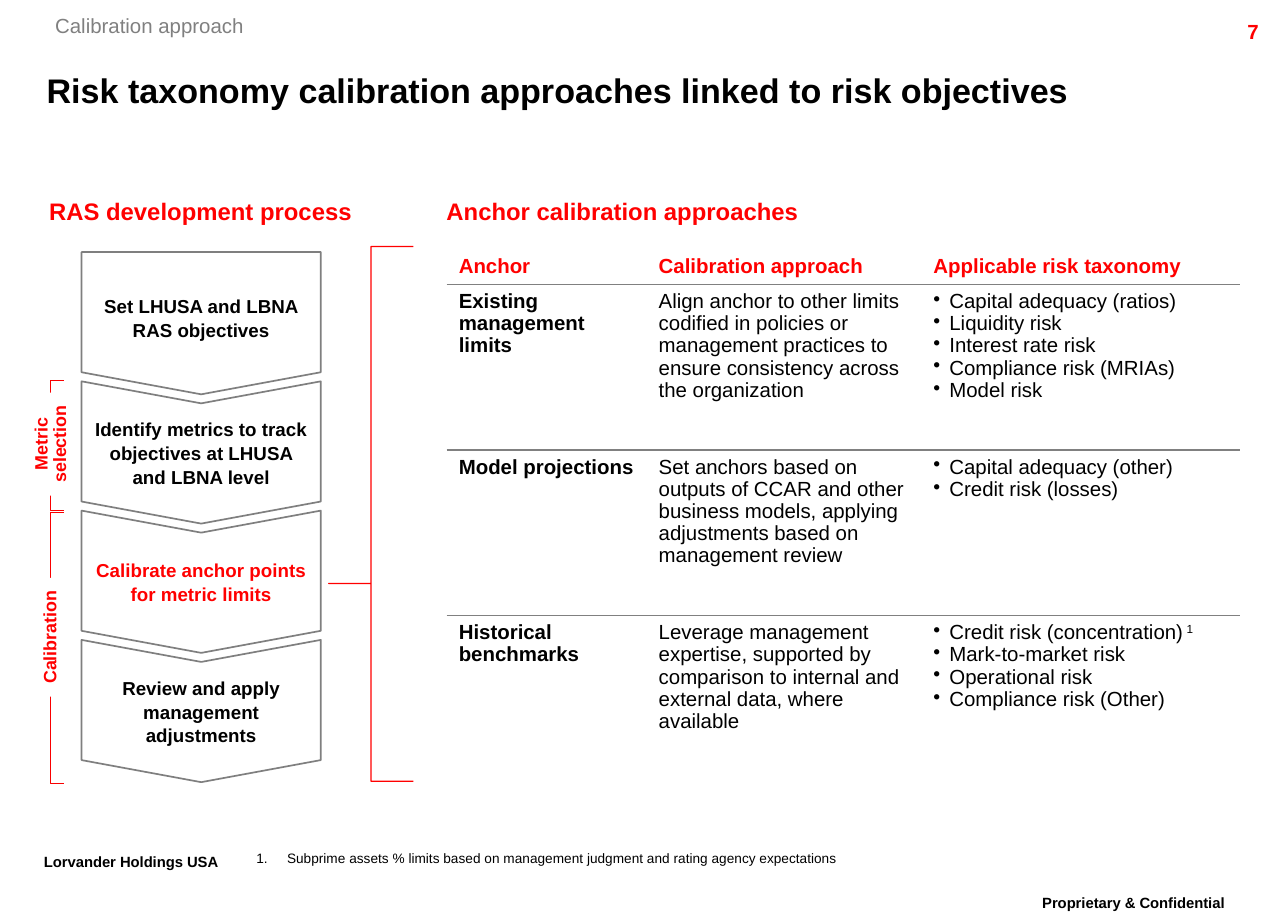
from dataclasses import dataclass

import lxml.etree
import pptx
import pptx.dml.color
import pptx.enum.shapes
import pptx.enum.text
import pptx.oxml.ns
import pptx.util

SLIDE_W = pptx.util.Inches(10.5)
SLIDE_H = pptx.util.Inches(7.5)
GRID_COLS, GRID_ROWS = 105, 75
RED, BRACKET_RED, BLACK, WHITE = "FF0000", "F90000", "000000", "FFFFFF"
GRAY, RULE_GRAY, STEP_GRAY = "808080", "808080", "7F7F7F"
NO_TABLE_STYLE = "{2D5ABB26-0587-4C30-8999-92F81FD0307C}"
MSO = pptx.enum.shapes.MSO_SHAPE
ALIGN = pptx.enum.text.PP_ALIGN
ANCHOR = pptx.enum.text.MSO_ANCHOR


@dataclass
class Box:
    left: float
    top: float
    width: float
    height: float

    def emu(self) -> tuple[int, int, int, int]:
        return col(self.left), row(self.top), col(self.width), row(self.height)


@dataclass
class Style:
    size: float
    color: str = BLACK
    bold: bool = True
    align: ALIGN = ALIGN.LEFT
    spacing: float = 1.0
    baseline: int = 0


@dataclass
class Label:
    text: str
    box: Box
    style: Style
    inset: bool = False
    wrap: bool = True
    rotation: int = 0
    fill: str = ""


@dataclass
class Step:
    text: str
    shape: MSO = MSO.CHEVRON
    color: str = BLACK


@dataclass
class Bracket:
    shape: MSO
    box: Box
    adjustments: tuple[float, ...]
    color: str


@dataclass
class Approach:
    anchor: str
    description: str
    risks: list[str]


HEADING = Style(14, RED)
SIDE = Style(10.5, RED, align=ALIGN.CENTER, spacing=0.86)
FOOTER = Style(15, spacing=0.86, baseline=30000)
FOOTER_CENTER = Style(15, align=ALIGN.CENTER, spacing=0.86, baseline=30000)

LABELS = [
    Label("Proprietary & Confidential", Box(81.5, 72.5, 21.8, 3.5), FOOTER_CENTER, inset=True),
    Label("Lorvander Holdings USA", Box(2.6, 69.1, 19.1, 3.5), FOOTER, inset=True, wrap=False),
    Label("7", Box(93.6, 1.1, 10, 2.4), Style(12, RED, align=ALIGN.RIGHT), inset=True),
    Label("Calibration approach", Box(4.5, 1.1, 15.4, 2), Style(12, GRAY, False), wrap=False),
    Label("RAS development process", Box(4, 16, 29.8, 4.5), HEADING),
    Label("Anchor calibration approaches", Box(36.4, 16, 60, 4.5), HEADING),
]
SIDE_LABELS = [
    Label("Calibration", Box(-0.7, 50.7, 9.7, 2.5), SIDE, True, False, 270, WHITE),
    Label("Metric\nselection", Box(0, 34.2, 8.4, 4), SIDE, True, False, 270, WHITE),
]
STEPS = [
    Step("Set LHUSA and LBNA RAS objectives", MSO.PENTAGON),
    Step("Identify metrics to track objectives at LHUSA and LBNA level"),
    Step("Calibrate anchor points for metric limits", color=RED),
    Step("Review and apply management adjustments"),
]
FIRST_STEP, STEP_PITCH = Box(10.6, 16.6, 11.6, 19.5), 10.54
BRACKETS = [
    Bracket(MSO.LEFT_BRACE, Box(26.8, 20.1, 6.9, 43.6), (0, 0.63), RED),
    Bracket(MSO.LEFT_BRACKET, Box(4.1, 41.8, 1.1, 22.1), (0,), BRACKET_RED),
    Bracket(MSO.LEFT_BRACKET, Box(4.1, 31, 1.1, 10.6), (0,), BRACKET_RED),
]
HEADERS = ["Anchor", "Calibration approach", "Applicable risk taxonomy"]
APPROACHES = [
    Approach("Existing management limits",
             "Align anchor to other limits codified in policies or management practices "
             "to ensure consistency across the organization",
             ["Capital adequacy (ratios)", "Liquidity risk", "Interest rate risk",
              "Compliance risk (MRIAs)", "Model risk"]),
    Approach("Model projections",
             "Set anchors based on outputs of CCAR and other business models, applying "
             "adjustments based on management review",
             ["Capital adequacy (other)", "Credit risk (losses)"]),
    Approach("Historical benchmarks",
             "Leverage management expertise, supported by comparison to internal and "
             "external data, where available",
             ["Credit risk (concentration)", "Mark-to-market risk", "Operational risk",
              "Compliance risk (Other)"]),
]
TABLE_BOX = Box(36.4, 20.1, 64.7, 43.6)
COLUMN_WIDTHS = [16.3, 22.4, 26]
HEADER_HEIGHT, ROW_HEIGHT = 3.1, 13.5


def col(n: float) -> int:
    return round(SLIDE_W * n / GRID_COLS)


def row(n: float) -> int:
    return round(SLIDE_H * n / GRID_ROWS)


def rgb(value: str) -> pptx.dml.color.RGBColor:
    return pptx.dml.color.RGBColor.from_string(value)


def write(tf, text: str, style: Style) -> None:
    tf.text = text
    for p in tf.paragraphs:
        p.alignment = style.align
        p.line_spacing = style.spacing
        for r in p.runs:
            r.font.name = "Arial"
            r.font.size = pptx.util.Pt(style.size)
            r.font.bold = style.bold
            r.font.color.rgb = rgb(style.color)
            if style.baseline:
                r.font._element.set("baseline", str(style.baseline))


def set_insets(tf, inches: float) -> None:
    tf.margin_left = tf.margin_right = pptx.util.Inches(inches)
    tf.margin_top = tf.margin_bottom = pptx.util.Inches(inches)


def add_bullet(p, indent: float, tag: str, **attributes: str) -> None:
    pPr = p._p.get_or_add_pPr()
    pPr.set("marL", str(col(indent)))
    pPr.set("indent", str(-col(indent)))
    lxml.etree.SubElement(pPr, pptx.oxml.ns.qn(tag), attributes)


def add_label(s, label: Label):
    sp = s.shapes.add_textbox(*label.box.emu())
    sp.rotation = label.rotation
    if label.fill:
        sp.fill.solid()
        sp.fill.fore_color.rgb = rgb(label.fill)
    tf = sp.text_frame
    tf.word_wrap = label.wrap
    if not label.inset:
        set_insets(tf, 0)
    write(tf, label.text, label.style)
    return sp


def add_step(s, step: Step, index: int) -> None:
    first = FIRST_STEP
    box = Box(first.left, first.top + index * STEP_PITCH, first.width, first.height)
    sp = s.shapes.add_shape(step.shape, *box.emu())
    sp.rotation = 90
    sp.adjustments[0] = 0.155
    sp.shadow.inherit = False
    sp.fill.solid()
    sp.fill.fore_color.rgb = rgb(WHITE)
    sp.line.color.rgb = rgb(STEP_GRAY)
    sp.line.width = pptx.util.Pt(1)
    tf = sp.text_frame
    tf.word_wrap = True
    tf.vertical_anchor = ANCHOR.MIDDLE
    set_insets(tf, 0.08)
    tf._txBody.bodyPr.set("vert", "vert")
    tf._txBody.bodyPr.set("rot", "10800000")
    write(tf, step.text, Style(11, step.color, align=ALIGN.CENTER, spacing=1.05))


def add_bracket(s, bracket: Bracket) -> None:
    sp = s.shapes.add_shape(bracket.shape, *bracket.box.emu())
    for i, value in enumerate(bracket.adjustments):
        sp.adjustments[i] = value
    sp.shadow.inherit = False
    sp.fill.background()
    sp.line.color.rgb = rgb(bracket.color)
    sp.line.width = pptx.util.Pt(0.75)


def add_bottom_rule(cell) -> None:
    qn = pptx.oxml.ns.qn
    line = lxml.etree.Element(qn("a:lnB"), w=str(pptx.util.Pt(1)))
    fill = lxml.etree.SubElement(line, qn("a:solidFill"))
    lxml.etree.SubElement(fill, qn("a:srgbClr"), val=RULE_GRAY)
    cell._tc.get_or_add_tcPr().insert(0, line)


def add_approach_table(s) -> None:
    rows = [HEADERS] + [[a.anchor, a.description, "\n".join(a.risks)] for a in APPROACHES]
    table = s.shapes.add_table(len(rows), len(HEADERS), *TABLE_BOX.emu()).table
    table.first_row = table.horz_banding = False
    table._tbl.tblPr.find(pptx.oxml.ns.qn("a:tableStyleId")).text = NO_TABLE_STYLE
    for column, width in zip(table.columns, COLUMN_WIDTHS):
        column.width = col(width)
    for i, texts in enumerate(rows):
        table.rows[i].height = row(ROW_HEIGHT if i else HEADER_HEIGHT)
        for j, text in enumerate(texts):
            cell = table.cell(i, j)
            cell.fill.background()
            cell.vertical_anchor = ANCHOR.TOP if i else ANCHOR.BOTTOM
            write(cell.text_frame, text,
                  Style(12, BLACK if i else RED, i == 0 or j == 0, spacing=0.97))
            if i and j == 2:
                for p in cell.text_frame.paragraphs:
                    add_bullet(p, 1.3, "a:buChar", char="•")
            if i < len(rows) - 1:
                add_bottom_rule(cell)
    r = table.cell(3, 2).text_frame.paragraphs[0].add_run()
    r.text = " 1"
    r.font.name = "Arial"
    r.font.size = pptx.util.Pt(12)
    r.font.color.rgb = rgb(BLACK)
    r.font._element.set("baseline", "30000")


def main() -> None:
    prs = pptx.Presentation()
    prs.slide_width, prs.slide_height = SLIDE_W, SLIDE_H
    s = prs.slides.add_slide(prs.slide_layouts[5])
    title = s.shapes.title
    title.left, title.top, title.width, title.height = Box(3.8, 4.9, 94.8, 4.8).emu()
    title.text_frame.vertical_anchor = ANCHOR.MIDDLE
    set_insets(title.text_frame, 0)
    write(title.text_frame, "Risk taxonomy calibration approaches linked to risk objectives", Style(20))
    for label in LABELS:
        add_label(s, label)
    add_approach_table(s)
    for index, step in enumerate(STEPS):
        add_step(s, step, index)
    for bracket in BRACKETS:
        add_bracket(s, bracket)
    for label in SIDE_LABELS:
        add_label(s, label)
    footnote = add_label(s, Label(
        "Subprime assets % limits based on management judgment and rating agency expectations",
        Box(20.9, 69.3, 54.7, 1.3), Style(8, bold=False)))
    add_bullet(footnote.text_frame.paragraphs[0], 2.5, "a:buAutoNum", type="arabicPeriod")
    prs.save("out.pptx")


if __name__ == "__main__":
    main()
